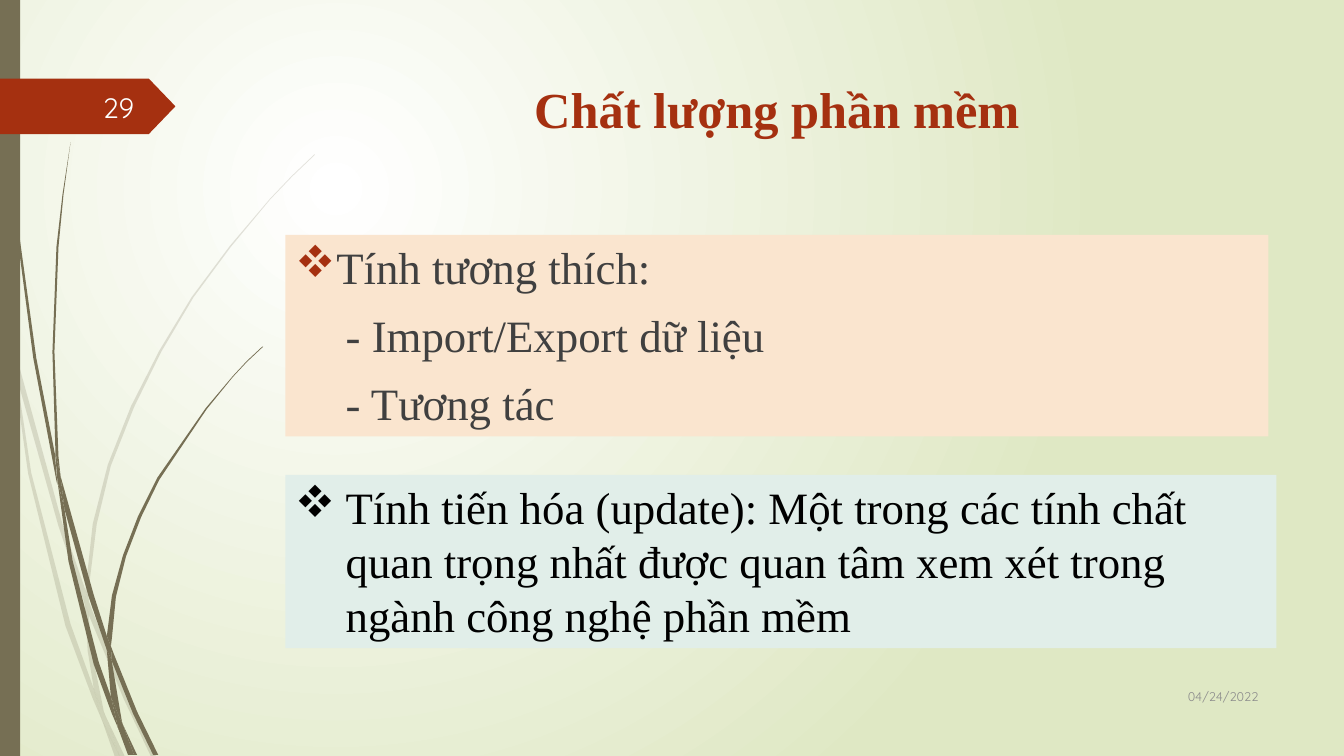
from dataclasses import dataclass
from typing import Optional

import lxml.etree
import pptx
import pptx.dml.color
import pptx.enum.shapes
import pptx.enum.text
import pptx.oxml
import pptx.oxml.ns
import pptx.util

Inches, Pt = pptx.util.Inches, pptx.util.Pt
RGB = pptx.dml.color.RGBColor.from_string
ALIGN, ANCHOR = pptx.enum.text.PP_ALIGN, pptx.enum.text.MSO_ANCHOR
SHAPE = pptx.enum.shapes.MSO_SHAPE
qn = pptx.oxml.ns.qn


@dataclass(frozen=True)
class Theme:
    olive: str = "766F54"
    red: str = "A53010"
    peach: str = "FAE5CF"
    mint: str = "E1EEE9"
    light: str = "FFFFFF"
    green: str = "DFE8C4"
    grey: str = "404040"
    black: str = "000000"
    number: str = "FEFFFF"
    date: str = "8C8C8C"
    serif: str = "Times New Roman"
    sans: str = "Quicksand"
    title_pt: int = 36
    body_pt: int = 32
    number_pt: int = 20
    date_pt: int = 9


T = Theme()


@dataclass(frozen=True)
class Para:
    text: str
    hang: float = 0
    before: int = 0
    bullet: Optional[str] = None  # bullet colour
    tab: float = 0


@dataclass(frozen=True)
class Box:
    at: tuple
    paras: tuple
    size: int
    color: str
    font: str = T.serif
    fill: Optional[str] = None
    bold: bool = False
    align: ALIGN = ALIGN.LEFT
    anchor: ANCHOR = ANCHOR.TOP


# Outline of each grass blade: x y pairs in inches
PALE_BLADES = (
    "0.11 3.5 0.09 3.22 0 2.82 0 2.99 0.1 3.44",
    "0.58 5.22 0.84 5.99 0.85 5.86 0.62 5.2 0.14 3.45 0.17 3.76",
    "0.92 6.07 0.88 5.96 0.88 6.1 1.23 6.94 1.5 7.51 1.55 7.51 1.27 6.92",
    "1.19 7.51 1.24 7.51 1.05 7.11",
    "0.93 6.83 0.7 6.19 0.31 4.69 0.17 3.76 0.11 3.5 0.28 4.7 0.65 6.21 0.92 6.93 1.01 7.14 0.99 7.07",
    "0.84 5.99 0.87 6.46 0.93 6.83 0.96 6.92 1.05 7.11 1.03 7.06 0.91 6.46 0.88 6.1 0.88 6.08",
    "0.88 5.84 0.96 5.2 1.1 4.62 1.33 4.04 1.6 3.49 1.92 2.95 2.29 2.45 2.68 1.98 2.9 1.75 3.12 1.54 "
    "3.12 1.53 2.89 1.75 2.68 1.97 2.28 2.44 1.9 2.95 1.58 3.48 1.3 4.03 1.07 4.61 0.92 5.2 "
    "0.85 5.84 0.85 5.86 0.88 5.96",
    "1.01 7.14 1.14 7.51 1.19 7.51",
    "0.88 6.08 0.88 6.1 0.88 5.96 0.85 5.86 0.84 5.99",
    "0.96 6.92 0.93 6.83 0.99 7.07 1.01 7.14 1.19 7.51 1.05 7.11",
)
DARK_BLADES = (
    "0.07 1.1 0.17 2.33 0.33 3.55 0.56 4.77 0.57 4.81 0.55 4.57 0.55 4.53 0.36 3.55 0.19 2.32 "
    "0.08 1.09 0.05 0.48 0.04 0 0.03 0 0.04 0.48",
    "0.88 5.92 1.06 6.45 1.06 6.33 1.06 6.31 0.93 5.9 0.6 4.72 0.64 5.05",
    "1.13 6.49 1.1 6.41 1.11 6.56 1.32 7.08 1.52 7.49 1.57 7.49 1.36 7.06",
    "1.1 6.91 0.98 6.57 0.72 5.56 0.64 5.05 0.57 4.77 0.68 5.57 0.93 6.59 1.11 7.08 1.17 7.22 1.16 7.17",
    "0.6 4.72 0.58 4.53 0.54 3.49 0.58 2.45 0.63 1.93 0.7 1.41 0.62 1.93 0.56 2.45 0.52 3.49 0.55 4.49",
    "1.33 7.49 1.36 7.49 1.22 7.19",
    "0.57 4.77 0.64 5.05 0.6 4.72 0.55 4.49 0.55 4.53",
    "1.11 6.33 1.15 5.92 1.25 5.52 1.4 5.13 1.58 4.76 2.05 4.06 2.31 3.74 2.45 3.59 2.61 3.44 "
    "2.6 3.44 2.45 3.58 2.31 3.73 2.04 4.05 1.56 4.74 1.37 5.12 1.22 5.51 1.11 5.91 1.06 6.31 1.1 6.41",
    "1.17 7.22 1.27 7.49 1.31 7.49",
    "1.06 6.45 1.1 6.91 1.16 7.06 1.22 7.19 1.21 7.16 1.11 6.56 1.09 6.51",
    "1.06 6.45 1.09 6.51 1.11 6.56 1.1 6.41 1.06 6.31 1.06 6.33",
    "1.16 7.06 1.1 6.91 1.16 7.17 1.17 7.22 1.3 7.49 1.33 7.49 1.22 7.19",
)


def add_xml(parent, tag: str, **attrs: str):
    return lxml.etree.SubElement(parent, qn(tag), attrs)


def paint(sp, color: str) -> None:
    sp.shadow.inherit = False
    sp.fill.solid()
    sp.fill.fore_color.rgb = RGB(color)
    sp.line.fill.background()


def add_grass(s, blades: tuple, opacity: int) -> None:
    shapes = s.shapes.add_group_shape().shapes
    for blade in blades:
        n = [Inches(float(v)) for v in blade.split()]
        start, *rest = zip(n[::2], n[1::2])
        fb = shapes.build_freeform(*start)
        fb.add_line_segments(rest)
        sp = fb.convert_to_shape()
        paint(sp, T.olive)
        if opacity < 100:
            clr = sp._element.spPr.find(".//" + qn("a:srgbClr"))
            add_xml(clr, "a:alpha", val=str(opacity * 1000))


def add_box(s, box: Box) -> None:
    at = [Inches(v) for v in box.at]
    if box.fill:
        sp = s.shapes.add_shape(SHAPE.RECTANGLE, *at)
        paint(sp, box.fill)
    else:
        sp = s.shapes.add_textbox(*at)
    tf = sp.text_frame
    tf.word_wrap, tf.vertical_anchor = True, box.anchor
    for i, para in enumerate(box.paras):
        p = tf.paragraphs[0] if i == 0 else tf.add_paragraph()
        p.text, p.alignment, p.space_before = para.text, box.align, Pt(para.before)
        pPr = p._p.get_or_add_pPr()
        if para.bullet:
            pPr.set("marL", str(Inches(para.hang)))
            pPr.set("indent", str(-Inches(para.hang)))
            add_xml(add_xml(pPr, "a:buClr"), "a:srgbClr", val=para.bullet)
            # "v" is the four-diamond bullet in this symbol font
            add_xml(pPr, "a:buFont", typeface="Wingdings", charset="2")
            add_xml(pPr, "a:buChar", char="v")
        if para.tab:
            add_xml(add_xml(pPr, "a:tabLst"), "a:tab", pos=str(Inches(para.tab)), algn="l")
        f = p.font
        f.name, f.size, f.bold, f.color.rgb = box.font, Pt(box.size), box.bold, RGB(box.color)


prs = pptx.Presentation()
prs.slide_width, prs.slide_height = Inches(13.33), Inches(7.5)
s = prs.slides.add_slide(prs.slide_layouts[6])

# Background: circular gradient
fill = s.background.fill
fill.gradient()
for stop, color in zip(fill.gradient_stops, (T.light, T.green)):
    stop.color.rgb = RGB(color)
grad = s._element.find(".//" + qn("a:gradFill"))
grad.remove(grad.find(qn("a:lin")))
add_xml(add_xml(grad, "a:path", path="circle"), "a:fillToRect",
        l="50000", t="50000", r="100000", b="100000")

# Grass, side bar and number tag
add_grass(s, PALE_BLADES, 20)
add_grass(s, DARK_BLADES, 100)
bar = s.shapes.add_shape(SHAPE.RECTANGLE, 0, 0, Inches(0.2), prs.slide_height)
paint(bar, T.olive)
tag = s.shapes.add_shape(SHAPE.PENTAGON, 0, Inches(0.78), Inches(1.74), Inches(0.55))
tag.adjustments[0] = 0.48
paint(tag, T.red)

# Title, content panels, slide number and date
BOXES = (
    Box((2.83, 0.73, 9.75, 1.36), (Para("Chất lượng phần mềm"),), T.title_pt, T.red,
        bold=True, align=ALIGN.CENTER),
    Box((2.83, 2.33, 9.75, 2), (
        Para("Tính tương thích:", hang=0.38, before=10, bullet=T.red),
        Para("\t- Import/Export dữ liệu", before=10, tab=0.5),
        Para("\t- Tương tác", before=10, tab=0.5)), T.body_pt, T.grey, fill=T.peach),
    Box((2.83, 4.71, 9.83, 1.72), (
        Para("Tính tiến hóa (update): Một trong các tính chất quan trọng nhất được quan tâm "
             "xem xét trong ngành công nghệ phần mềm", hang=0.5, bullet=T.black),),
        T.body_pt, T.black, fill=T.mint),
    Box((0.58, 0.86, 0.85, 0.4), (Para("29"),), T.number_pt, T.number, T.sans,
        align=ALIGN.RIGHT, anchor=ANCHOR.MIDDLE),
    Box((11.33, 6.7, 1.25, 0.41), (Para("04/24/2022"),), T.date_pt, T.date, T.sans,
        align=ALIGN.RIGHT, anchor=ANCHOR.MIDDLE),
)
for box in BOXES:
    add_box(s, box)

prs.save("out.pptx")
